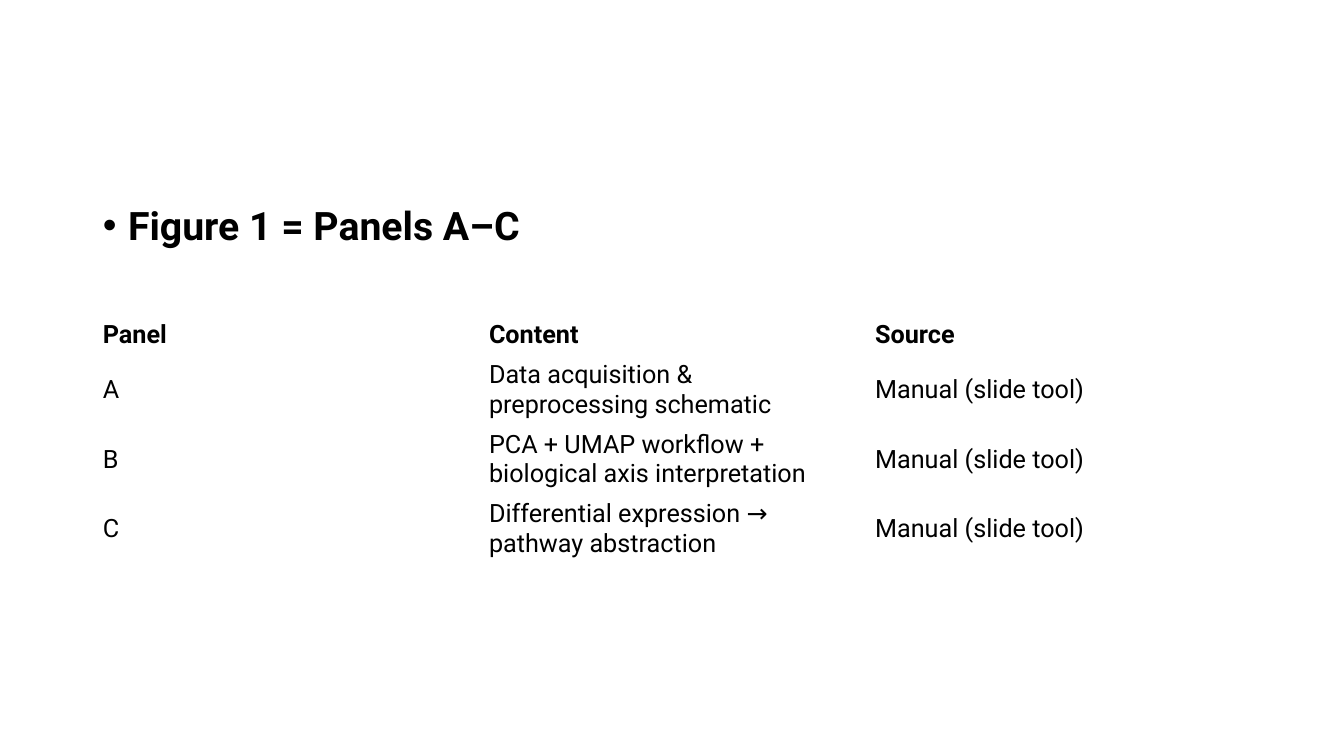
import pptx
import pptx.util
import pptx.dml.color
import pptx.enum.text
import pptx.oxml

PX = 9144  # 100 px to the inch
FONT = "Roboto"
BLACK = "000000"
COLUMN_WIDTH = 383
HEADER_HEIGHT = 39
ROW_HEIGHT = 69
PANELS = [
    ("Panel", "Content", "Source"),
    ("A", "Data acquisition & preprocessing schematic", "Manual (slide tool)"),
    ("B", "PCA + UMAP workflow + biological axis interpretation", "Manual (slide tool)"),
    ("C", "Differential expression → pathway abstraction", "Manual (slide tool)"),
]


def px(length):
    return pptx.util.Emu(length * PX)


def color(value):
    return pptx.dml.color.RGBColor.from_string(value)


def format_font(font, size, bold):
    values = {"name": FONT, "size": pptx.util.Pt(size), "bold": bold}
    for name, value in values.items():
        setattr(font, name, value)
    font.color.rgb = color(BLACK)


def add_bullet(para, indent):
    properties = para._p.get_or_add_pPr()
    properties.set("marL", str(px(indent)))
    properties.set("indent", str(-px(indent)))
    for tag, name, value in (("buFont", "typeface", "Arial"), ("buChar", "char", "•")):
        bullet = pptx.oxml.parse_xml(
            '<a:%s xmlns:a="http://schemas.openxmlformats.org/drawingml/2006/main" %s="%s"/>'
            % (tag, name, value))
        properties.append(bullet)


def fill_body(body, text):
    places = {"left": 92, "top": 200, "width": 1150, "height": 476}
    for name, value in places.items():
        setattr(body, name, px(value))
    body.text_frame.vertical_anchor = pptx.enum.text.MSO_ANCHOR.TOP
    para = body.text_frame.paragraphs[0]
    add_bullet(para, 25)
    para.line_spacing = 0.9
    para.space_before = pptx.util.Pt(0)
    span = para.add_run()
    span.text = text
    format_font(span.font, 28, True)


def fill_cell(cell, text, bold):
    cell.fill.background()
    cell.vertical_anchor = pptx.enum.text.MSO_ANCHOR.MIDDLE
    span = cell.text_frame.paragraphs[0].add_run()
    span.text = text
    format_font(span.font, 18, bold)


def add_panel_table(page, left, top):
    heights = [HEADER_HEIGHT] + [ROW_HEIGHT] * (len(PANELS) - 1)
    columns = len(PANELS[0])
    table = page.shapes.add_table(
        len(PANELS), columns, px(left), px(top),
        px(COLUMN_WIDTH * columns), px(sum(heights))).table
    table.first_row = False
    table.horz_banding = False
    for column in table.columns:
        column.width = px(COLUMN_WIDTH)
    for row_index, texts in enumerate(PANELS):
        table.rows[row_index].height = px(heights[row_index])
        for column_index, text in enumerate(texts):
            fill_cell(table.cell(row_index, column_index), text, row_index == 0)


def main():
    deck = pptx.Presentation()
    deck.slide_width = px(1333)
    deck.slide_height = px(750)
    page = deck.slides.add_slide(deck.slide_layouts[1])
    title = page.shapes.title
    title._element.getparent().remove(title._element)
    fill_body(page.placeholders[1], "Figure 1 = Panels A–C")
    add_panel_table(page, 92, 313)
    deck.save("out.pptx")


if __name__ == "__main__":
    main()
